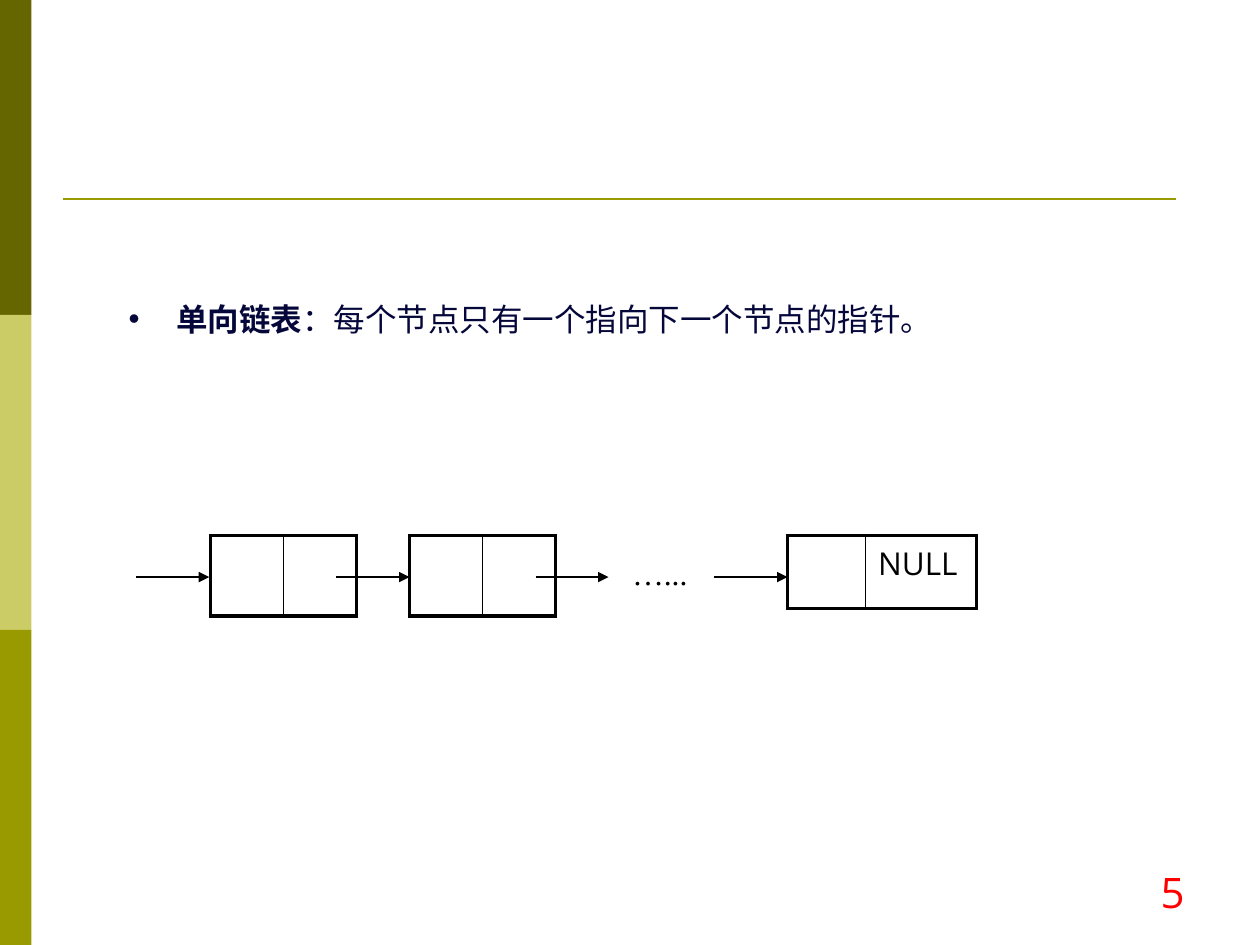
from dataclasses import dataclass
from lxml.etree import SubElement
from pptx import Presentation
from pptx.dml.color import RGBColor
from pptx.enum.shapes import MSO_CONNECTOR, MSO_SHAPE
from pptx.enum.text import MSO_ANCHOR, MSO_AUTO_SIZE, PP_ALIGN
from pptx.oxml.ns import qn
from pptx.util import Inches, Pt


@dataclass(frozen=True)
class Theme:
    dark: str = "666600"
    pale: str = "CCCC66"
    olive: str = "999900"
    navy: str = "05073B"
    red: str = "FF0000"
    black: str = "000000"
    body: int = 18
    page: int = 24
    latin: str = "Open Sans"
    lead: str = "Karla"
    han: str = "Noto Sans CJK SC"
    serif: str = "Times New Roman"


def assign(target, values):
    for name, value in values.items():
        setattr(target, name, value)


class Deck:
    def __init__(self, theme):
        self.theme = theme
        self.prs = Presentation()
        assign(self.prs, {"slide_width": Inches(10), "slide_height": Inches(7.5)})
        self.slide = self.prs.slides.add_slide(self.prs.slide_layouts[1])
        self.shapes = self.slide.shapes

    def run(self, para, text, font, color, size=None, bold=False):
        run = para.add_run()
        run.text = text
        assign(run.font, {"name": font, "size": Pt(size or self.theme.body), "bold": bold})
        run.font.color.rgb = RGBColor.from_string(color)
        east = SubElement(run.font._element, qn("a:ea"))
        east.set("typeface", self.theme.han)

    def bar(self, top, height, color):
        bar = self.shapes.add_shape(MSO_SHAPE.RECTANGLE, 0, Inches(top), Inches(0.25), Inches(height))
        bar.shadow.inherit = False
        bar.fill.solid()
        bar.fill.fore_color.rgb = RGBColor.from_string(color)
        bar.line.fill.background()

    def line(self, left, right, y, color, width, arrow=False):
        line = self.shapes.add_connector(
            MSO_CONNECTOR.STRAIGHT, Inches(left), Inches(y), Inches(right), Inches(y))
        line.line.color.rgb = RGBColor.from_string(color)
        line.line.width = Pt(width)
        if arrow:
            SubElement(line.line._get_or_add_ln(), qn("a:tailEnd")).set("type", "triangle")
        SubElement(line._element.spPr, qn("a:effectLst"))

    def text(self, left, top, width, height, text, font, color, size=None, align=PP_ALIGN.LEFT):
        box = self.shapes.add_textbox(Inches(left), Inches(top), Inches(width), Inches(height))
        box.text_frame.word_wrap = True
        para = box.text_frame.paragraphs[0]
        para.alignment = align
        self.run(para, text, font, color, size)

    def list(self, left, top, width, height, lead, rest):
        body = self.slide.placeholders[1]
        assign(body, {"left": Inches(left), "top": Inches(top),
                      "width": Inches(width), "height": Inches(height)})
        assign(body.text_frame, {"word_wrap": True, "auto_size": MSO_AUTO_SIZE.NONE,
                                 "vertical_anchor": MSO_ANCHOR.TOP})
        para = body.text_frame.paragraphs[0]
        para.space_before = Pt(0)
        props = para._p.get_or_add_pPr()
        indent = Inches(0.38)
        props.set("marL", str(indent))
        props.set("indent", str(-indent))
        SubElement(props, qn("a:buChar")).set("char", "•")
        self.run(para, lead, self.theme.lead, self.theme.navy, bold=True)
        self.run(para, rest, self.theme.han, self.theme.navy)

    def edge(self, cell, side, width):
        line = SubElement(cell._tc.get_or_add_tcPr(), qn(f"a:ln{side}"))
        line.set("w", str(Pt(width)))
        fill = SubElement(line, qn("a:solidFill"))
        SubElement(fill, qn("a:srgbClr")).set("val", self.theme.black)

    def node(self, left, top, widths, height, label=""):
        frame = self.shapes.add_table(
            1, 2, Inches(left), Inches(top), Inches(sum(widths)), Inches(height))
        table = frame.table
        assign(table, {"first_row": False, "horz_banding": False})
        for col, width in enumerate(widths):
            table.columns[col].width = Inches(width)
            cell = table.cell(0, col)
            # Thick outside, thin divider between data and pointer
            for side in "LRTB":
                inner = side == "RL"[col]
                self.edge(cell, side, 1 if inner else 2.25)
            cell.fill.background()
        if label:
            self.run(table.cell(0, 1).text_frame.paragraphs[0],
                     label, self.theme.latin, self.theme.black)


def main():
    theme = Theme()
    deck = Deck(theme)

    # Side bars and rule
    third = 2.5
    for row, color in enumerate((theme.dark, theme.pale, theme.olive)):
        deck.bar(row * third, third, color)
    deck.line(0.5, 9.33, 1.58, theme.olive, 1.5)

    # Page number and definition
    deck.text(7.17, 6.83, 2.33, 0.5, "5", theme.latin, theme.red, theme.page, PP_ALIGN.RIGHT)
    deck.list(0.92, 2.33, 7.83, 0.64, "单向链表", "：每个节点只有一个指向下一个节点的指针。")
    title = deck.shapes.title._element
    title.getparent().remove(title)

    # Nodes of the linked list
    for left in (1.67, 3.25):
        deck.node(left, 4.25, (0.58, 0.58), 0.64)
    deck.node(6.25, 4.25, (0.62, 0.88), 0.58, "NULL")

    # Pointers, all of one length
    for start in (1.08, 2.67, 4.25, 5.67):
        deck.line(start, start + 0.58, 4.58, theme.black, 0.75, arrow=True)
    deck.text(4.92, 4.35, 0.67, 0.4, "…...", theme.serif, theme.black)

    deck.prs.save("out.pptx")


if __name__ == "__main__":
    main()
